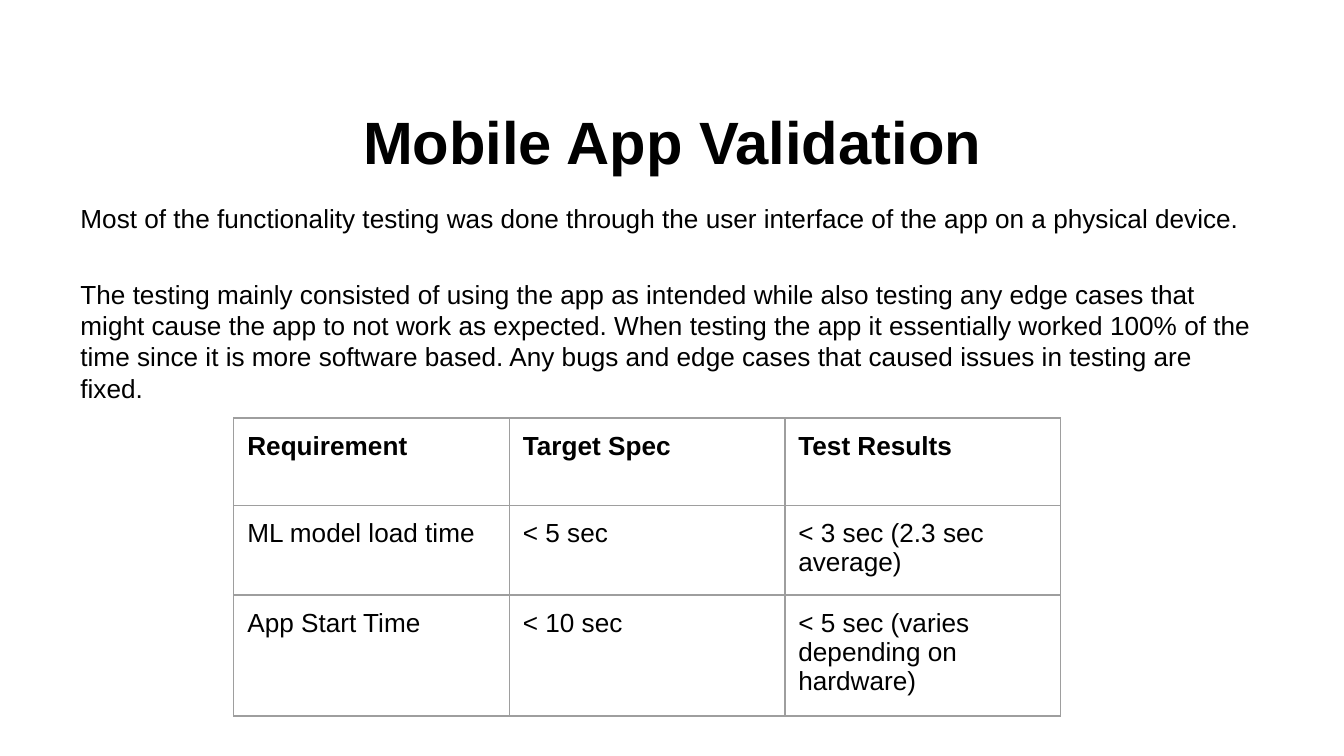
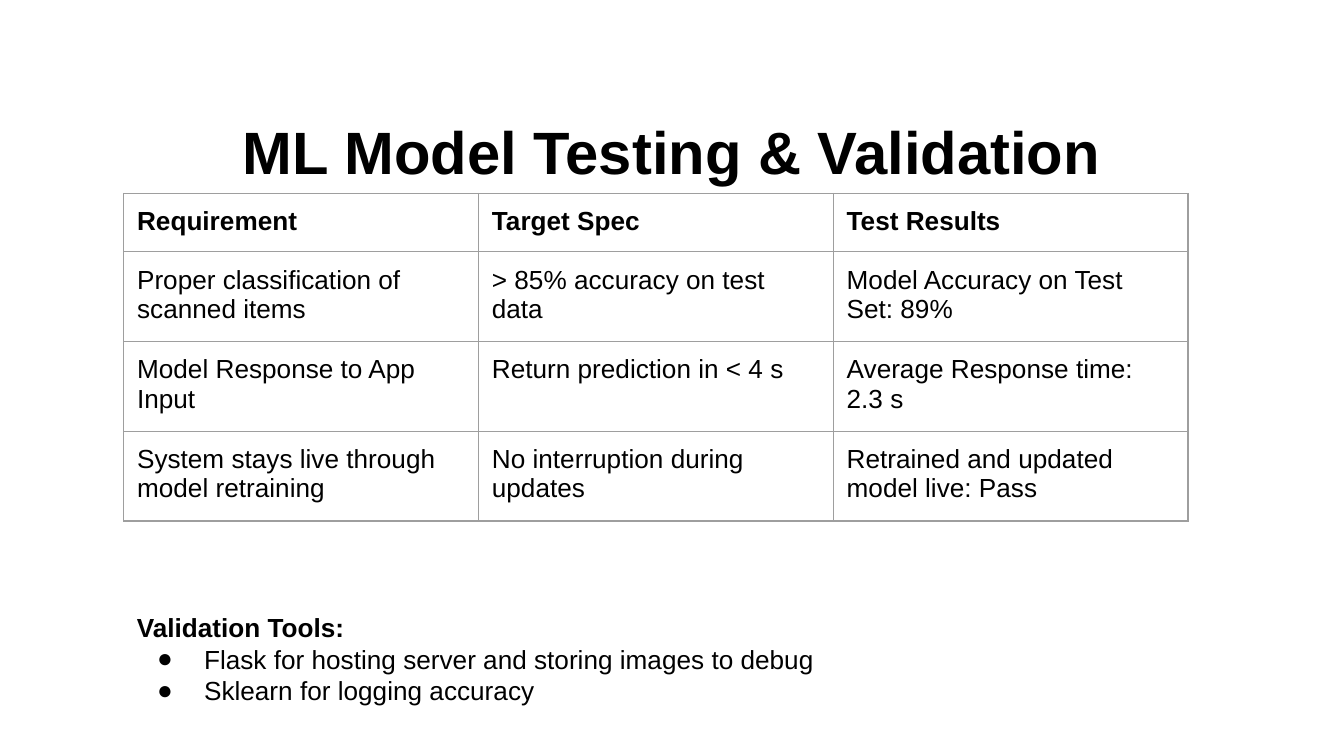
from dataclasses import dataclass

from lxml import etree
from pptx import Presentation
from pptx import util as u
from pptx.dml import color
from pptx.enum import text
from pptx.oxml import ns


@dataclass(frozen=True)
class Theme:
    """Colours, font and type sizes shared by the slides."""
    font: str = "Arial"
    ink: str = "000000"
    paper: str = "FFFFFF"
    grid: str = "9E9E9E"
    title_pt: int = 32
    body_pt: int = 14
    grid_pt: float = 0.75


T = Theme()
SCALE = 4572
HEADER = ("Requirement", "Target Spec", "Test Results")


def px(n):
    """Turn px into EMU at 200 px to the inch."""
    return u.Emu(n * SCALE)


def add_run(p, words, size=T.body_pt, bold=False):
    """Add one styled run to a paragraph."""
    r = p.add_run()
    r.text = words
    r.font.name = T.font
    r.font.size = u.Pt(size)
    r.font.bold = bold
    r.font.color.rgb = color.RGBColor.from_string(T.ink)


def add_color(parent, value):
    """Append an RGB colour element."""
    etree.SubElement(parent, ns.qn("a:srgbClr"), val=value)


def set_bullet(p):
    """Give a paragraph a hanging round bullet."""
    pPr = p._p.get_or_add_pPr()
    pPr.set("marL", str(px(100)))
    pPr.set("indent", str(px(-70)))
    add_color(etree.SubElement(pPr, ns.qn("a:buClr")), T.ink)
    etree.SubElement(pPr, ns.qn("a:buSzPts"), val=str(T.body_pt * 100))
    etree.SubElement(pPr, ns.qn("a:buFont"), typeface=T.font)
    etree.SubElement(pPr, ns.qn("a:buChar"), char="●")


def add_box(s, left, top, width, height, inset_y=10):
    """Add a wrapping text box and return its text frame."""
    sp = s.shapes.add_textbox(px(left), px(top), px(width), px(height))
    tf = sp.text_frame
    tf.word_wrap = True
    tf.margin_left = tf.margin_right = px(20)
    tf.margin_top = tf.margin_bottom = px(inset_y)
    return tf


def add_title(s, words, left, top, width):
    """Add the centred slide title."""
    tf = add_box(s, left, top, width, 132)
    tf.vertical_anchor = text.MSO_ANCHOR.MIDDLE
    p = tf.paragraphs[0]
    p.alignment = text.PP_ALIGN.CENTER
    add_run(p, words, T.title_pt, True)


def add_body(s, paragraphs):
    """Add body paragraphs set apart by spacing."""
    tf = add_box(s, 100, 292, 1796, 296)
    for i, words in enumerate(paragraphs):
        p = tf.add_paragraph() if i else tf.paragraphs[0]
        if i:
            p.space_before = u.Pt(23.5)
        add_run(p, words)


def add_bullets(s, heading, items):
    """Add a bold heading with a bulleted list below it."""
    tf = add_box(s, 184, 890, 1742, 158, 20)
    add_run(tf.paragraphs[0], heading, bold=True)
    for words in items:
        p = tf.add_paragraph()
        set_bullet(p)
        add_run(p, words)


def set_borders(cell):
    """Draw the thin grid line on all four sides of a cell."""
    tcPr = cell._tc.get_or_add_tcPr()
    for side in "LRTB":
        ln = etree.SubElement(tcPr, ns.qn("a:ln" + side), w=str(u.Pt(T.grid_pt)))
        add_color(etree.SubElement(ln, ns.qn("a:solidFill")), T.grid)


def add_grid(s, left, top, col_width, row_heights, rows):
    """Add a plain ruled table with a bold header row."""
    cols = len(rows[0])
    table = s.shapes.add_table(len(rows), cols, px(left), px(top),
                               px(col_width * cols), px(sum(row_heights))).table
    table.first_row = table.horz_banding = False
    for col in table.columns:
        col.width = px(col_width)
    for i, (row, height) in enumerate(zip(rows, row_heights)):
        table.rows[i].height = px(height)
        for j, words in enumerate(row):
            cell = table.cell(i, j)
            cell.margin_left = cell.margin_right = px(20)
            cell.margin_top = cell.margin_bottom = px(20)
            set_borders(cell)
            cell.fill.background()
            p = cell.text_frame.paragraphs[0]
            p.line_spacing = 1.0
            add_run(p, words, bold=i == 0)


def add_slide(prs):
    """Add a blank slide on the paper colour."""
    s = prs.slides.add_slide(prs.slide_layouts[6])
    s.background.fill.solid()
    s.background.fill.fore_color.rgb = color.RGBColor.from_string(T.paper)
    return s


def app_slide(prs):
    """Build the mobile app validation slide."""
    s = add_slide(prs)
    add_title(s, "Mobile App Validation", 60, 144, 1882)
    add_body(s, [
        "Most of the functionality testing was done through the user interface "
        "of the app on a physical device.",
        "The testing mainly consisted of using the app as intended while also "
        "testing any edge cases that might cause the app to not work as expected. "
        "When testing the app it essentially worked 100% of the time since it is "
        "more software based. Any bugs and edge cases that caused issues in "
        "testing are fixed.",
    ])
    add_grid(s, 348, 622, 410, [130, 106, 154], [
        HEADER,
        ("ML model load time", "< 5 sec", "< 3 sec (2.3 sec average)"),
        ("App Start Time", "< 10 sec", "< 5 sec (varies depending on hardware)"),
    ])


def model_slide(prs):
    """Build the model testing slide."""
    s = add_slide(prs)
    add_title(s, "ML Model Testing & Validation", 100, 158, 1800)
    add_grid(s, 184, 288, 528, [84] * 4, [
        HEADER,
        ("Proper classification of scanned items", "> 85% accuracy on test data",
         "Model Accuracy on Test Set: 89%"),
        ("Model Response to App Input", "Return prediction in < 4 s",
         "Average Response time: 2.3 s"),
        ("System stays live through model retraining",
         "No interruption during updates", "Retrained and updated model live: Pass"),
    ])
    add_bullets(s, "Validation Tools:", [
        "Flask for hosting server and storing images to debug",
        "Sklearn for logging accuracy",
    ])


def main():
    """Build and save the slides."""
    prs = Presentation()
    prs.slide_width, prs.slide_height = px(2000), px(1125)
    app_slide(prs)
    model_slide(prs)
    prs.save("out.pptx")


if __name__ == "__main__":
    main()
